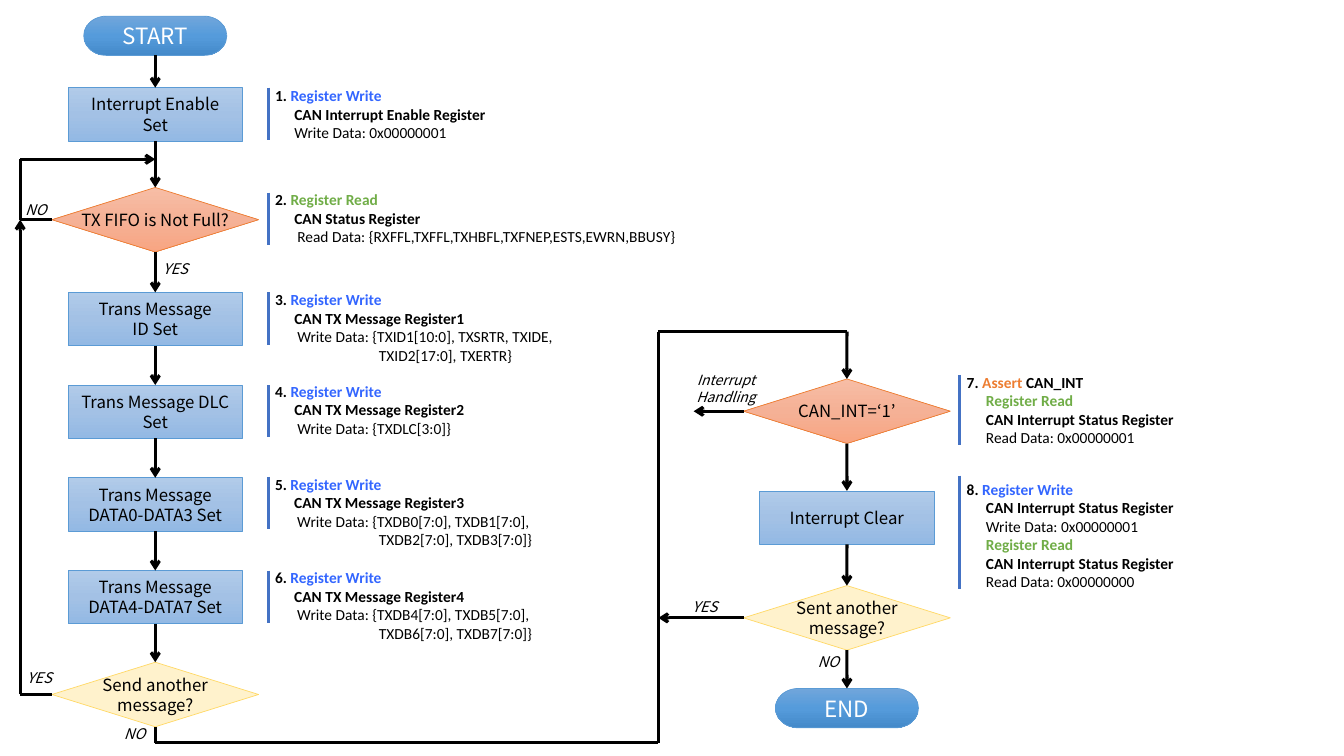
from copy import deepcopy
from pptx import Presentation
from pptx.dml.color import RGBColor
from pptx.enum.shapes import MSO_CONNECTOR, MSO_SHAPE
from pptx.enum.text import MSO_ANCHOR, PP_ALIGN
from pptx.oxml.ns import qn
from pptx.util import Inches, Pt
from lxml import etree

STRAIGHT = MSO_CONNECTOR.STRAIGHT
CENTER, LEFT = PP_ALIGN.CENTER, PP_ALIGN.LEFT
MIDDLE = MSO_ANCHOR.MIDDLE
TOP, LEFT_SIDE, BOTTOM = 0, 1, 2
SANS, CALIBRI = "Noto Sans CJK JP", "Calibri"

BLACK = RGBColor(0x00, 0x00, 0x00)
WHITE = RGBColor(0xFF, 0xFF, 0xFF)
WRITE_BLUE = RGBColor(0x33, 0x66, 0xFF)
READ_GREEN = RGBColor(0x70, 0xAD, 0x47)
ORANGE = RGBColor(0xED, 0x7D, 0x31)
BAR_BLUE = RGBColor(0x44, 0x72, 0xC4)
EDGE_BLUE = RGBColor(0x5B, 0x9B, 0xD5)
EDGE_YELLOW = RGBColor(0xFF, 0xD9, 0x66)
CREAM = RGBColor(0xFF, 0xF2, 0xCC)
STEP_FILL = [RGBColor(0xB1, 0xCB, 0xE9), RGBColor(0xA3, 0xC1, 0xE5), RGBColor(0x93, 0xB9, 0xE4)]
ENDS_FILL = [RGBColor(0x71, 0xA6, 0xDB), RGBColor(0x55, 0x9B, 0xDB), RGBColor(0x44, 0x8A, 0xCA)]
CHECK_FILL = [RGBColor(0xF7, 0xBD, 0xA5), RGBColor(0xF5, 0xB1, 0x96), RGBColor(0xF8, 0xA5, 0x82)]

KINDS = {
    "ends": (MSO_SHAPE.FLOWCHART_TERMINATOR, 1.42, 0.39, ENDS_FILL, EDGE_BLUE, 16, WHITE),
    "step": (MSO_SHAPE.RECTANGLE, 1.73, 0.53, STEP_FILL, EDGE_BLUE, 12, BLACK),
    "check": (MSO_SHAPE.FLOWCHART_DECISION, 2.05, 0.64, CHECK_FILL, ORANGE, 12, BLACK),
    "repeat": (MSO_SHAPE.FLOWCHART_DECISION, 2.05, 0.64, [CREAM], EDGE_YELLOW, 12, BLACK),
}
SEND_X, DONE_X = 1.54, 8.4
LOOP_X, LINK_X = 0.2, 6.53
NODES = {
    "start": ("ends", SEND_X, 0.16, "START"),
    "enable": ("step", SEND_X, 0.87, "Interrupt Enable Set"),
    "fifo": ("check", SEND_X, 1.86, "TX FIFO is Not Full?"),
    "id": ("step", SEND_X, 2.9, "Trans Message\nID Set"),
    "dlc": ("step", SEND_X, 3.82, "Trans Message DLC Set"),
    "data0": ("step", SEND_X, 4.74, "Trans Message DATA0-DATA3 Set"),
    "data4": ("step", SEND_X, 5.66, "Trans Message DATA4-DATA7 Set"),
    "send": ("repeat", SEND_X, 6.57, "Send another\nmessage?"),
    "int": ("check", DONE_X, 3.76, "CAN_INT=‘1’"),
    "clear": ("step", DONE_X, 4.87, "Interrupt Clear"),
    "sent": ("repeat", DONE_X, 5.81, "Sent another\nmessage?"),
    "end": ("ends", DONE_X, 6.83, "END"),
}
FLOWS = [
    ["start", "enable", "fifo", "id", "dlc", "data0", "data4", "send"],
    ["int", "clear", "sent", "end"],
]
ROUTES = [
    ("fifo", LEFT_SIDE, [(LOOP_X, 2.18), (LOOP_X, 1.58), (SEND_X, 1.58)], None),
    ("send", LEFT_SIDE, [(LOOP_X, 6.89), (LOOP_X, 2.18)], None),
    ("send", BOTTOM, [(SEND_X, 7.37), (LINK_X, 7.37), (LINK_X, 3.29), (DONE_X, 3.29), (DONE_X, 3.76)], "int"),
    ("int", LEFT_SIDE, [(6.88, 4.08)], None),
    ("sent", LEFT_SIDE, [(LINK_X, 6.13)], None),
]
LABELS = [
    (0.14, 1.94, 0.43, 0.29, "NO", 10.5),
    (1.49, 2.53, 0.5, 0.29, "YES", 10.5),
    (0.14, 6.59, 0.5, 0.29, "YES", 10.5),
    (1.12, 7.14, 0.43, 0.29, "NO", 10.5),
    (6.75, 3.64, 0.9, 0.44, "Interrupt\nHandling", 10),
    (8, 6.43, 0.43, 0.29, "NO", 10.5),
    (6.74, 5.88, 0.5, 0.29, "YES", 10.5),
]

NEAR, DATA, MORE = 0.19, 0.22, 1.03
WRITE = ("Register Write", WRITE_BLUE, True)
READ = ("Register Read", READ_GREEN, True)


def bold(text):
    return (text, BLACK, True)


def plain(text):
    return (text, BLACK, False)


STATUS = (NEAR, [bold("CAN Interrupt Status Register")])
NOTES = [
    (2.63, 0.81, 0.87, 0.52, 4.25, [
        (0, [bold("1. "), WRITE]), (NEAR, [bold("CAN Interrupt Enable Register")]),
        (NEAR, [plain("Write Data: 0x00000001")])]),
    (2.63, 1.84, 1.91, 0.52, 4.25, [
        (0, [bold("2. "), READ]), (NEAR, [bold("CAN Status Register")]),
        (DATA, [plain("Read Data: {RXFFL,TXFFL,TXHBFL,TXFNEP,ESTS,EWRN,BBUSY}")])]),
    (2.63, 2.83, 2.9, 0.52, 3.39, [
        (0, [bold("3. "), WRITE]), (NEAR, [bold("CAN TX Message Register1")]),
        (DATA, [plain("Write Data: {TXID1[10:0], TXSRTR, TXIDE,")]),
        (MORE, [plain("TXID2[17:0], TXERTR}")])]),
    (2.63, 3.74, 3.82, 0.52, 3.39, [
        (0, [bold("4. "), WRITE]), (NEAR, [bold("CAN TX Message Register2")]),
        (DATA, [plain("Write Data: {TXDLC[3:0]}")])]),
    (2.63, 4.66, 4.73, 0.52, 3, [
        (0, [bold("5. "), WRITE]), (NEAR, [bold("CAN TX Message Register3")]),
        (DATA, [plain("Write Data: {TXDB0[7:0], TXDB1[7:0],")]),
        (MORE, [plain("TXDB2[7:0], TXDB3[7:0]}")])]),
    (2.63, 5.59, 5.66, 0.52, 3, [
        (0, [bold("6. "), WRITE]), (NEAR, [bold("CAN TX Message Register4")]),
        (DATA, [plain("Write Data: {TXDB4[7:0], TXDB5[7:0],")]),
        (MORE, [plain("TXDB6[7:0], TXDB7[7:0]}")])]),
    (9.49, 3.65, 3.72, 0.69, 3.64, [
        (0, [bold("7. "), ("Assert ", ORANGE, True), bold("CAN_INT")]), (NEAR, [READ]), STATUS,
        (NEAR, [plain("Read Data: 0x00000001")])]),
    (9.49, 4.71, 4.72, 1.12, 3.64, [
        (0, [bold("8. "), WRITE]), STATUS, (NEAR, [plain("Write Data: 0x00000001")]),
        (NEAR, [READ]), STATUS, (NEAR, [plain("Read Data: 0x00000000")])]),
]

prs = Presentation()
prs.slide_width, prs.slide_height = Inches(13.33), Inches(7.5)
s = prs.slides.add_slide(prs.slide_layouts[6])


def write(tf, lines, font, size, align, italic=False):
    for i, (indent, runs) in enumerate(lines):
        p = tf.paragraphs[0] if i == 0 else tf.add_paragraph()
        p.alignment = align
        if indent:
            p._p.get_or_add_pPr().set("marL", str(Inches(indent)))
        for text, color, is_bold in runs:
            r = p.add_run()
            r.text = text
            r.font.color.rgb = color
            for key, value in {"name": font, "size": Pt(size), "bold": is_bold, "italic": italic}.items():
                setattr(r.font, key, value)


def text_lines(text, color):
    return [(0, [(line, color, False)]) for line in text.split("\n")]


def paint(shape, colors):
    fill = shape.fill
    if len(colors) == 1:
        fill.solid()
        fill.fore_color.rgb = colors[0]
        return
    fill.gradient()
    fill.gradient_angle = 270
    stops = shape._element.spPr.find(".//" + qn("a:gsLst"))
    stops.insert(1, deepcopy(stops[0]))
    for stop, color, position in zip(fill.gradient_stops, colors, (0, 0.5, 1)):
        stop.color.rgb = color
        stop.position = position


def add_node(kind, center, top, text):
    preset, w, h, colors, edge, size, color = KINDS[kind]
    sp = s.shapes.add_shape(preset, Inches(center - w / 2), Inches(top), Inches(w), Inches(h))
    sp.shadow.inherit = False
    paint(sp, colors)
    sp.line.color.rgb = edge
    sp.line.width = Pt(0.5)
    tf = sp.text_frame
    tf.vertical_anchor = MIDDLE
    tf.word_wrap = kind == "step"
    if kind in ("check", "repeat"):
        tf.margin_left = tf.margin_right = tf.margin_top = tf.margin_bottom = 0
    write(tf, text_lines(text, color), SANS, size, CENTER)
    return sp


def add_line(start, end, color=BLACK, arrow=False):
    c = s.shapes.add_connector(STRAIGHT, *[Inches(v) for v in (*start, *end)])
    c.line.color.rgb = color
    c.line.width = Pt(2.25)
    if arrow:
        etree.SubElement(c.line._get_or_add_ln(), qn("a:tailEnd"), type="arrow")
    etree.SubElement(c._element.spPr, qn("a:effectLst"))
    return c


def add_text(x, y, w, h, side_margin):
    tf = s.shapes.add_textbox(Inches(x), Inches(y), Inches(w), Inches(h)).text_frame
    tf.word_wrap = True
    tf.margin_left = tf.margin_right = Inches(side_margin)
    return tf


nodes = {name: add_node(*node) for name, node in NODES.items()}
for flow in FLOWS:
    for upper, lower in zip(flow, flow[1:]):
        c = add_line((0, 0), (1, 1), arrow=True)
        c.begin_connect(nodes[upper], BOTTOM)
        c.end_connect(nodes[lower], TOP)
for source, side, points, target in ROUTES:
    last = len(points) - 1
    for i, point in enumerate(points):
        c = add_line(points[max(i - 1, 0)], point, arrow=i == last)
        if i == 0:
            c.begin_connect(nodes[source], side)
        if i == last and target:
            c.end_connect(nodes[target], TOP)
for x, y, w, h, text, size in LABELS:
    write(add_text(x, y, w, h, 0), text_lines(text, BLACK), SANS, size, CENTER, True)
for x, y, bar_top, bar_h, w, lines in NOTES:
    add_line((x + 0.03, bar_top), (x + 0.03, bar_top + bar_h), BAR_BLUE)
    write(add_text(x, y, w, 0.18 * len(lines) + 0.12, 0.1), lines, CALIBRI, 11, LEFT)

prs.save("out.pptx")
